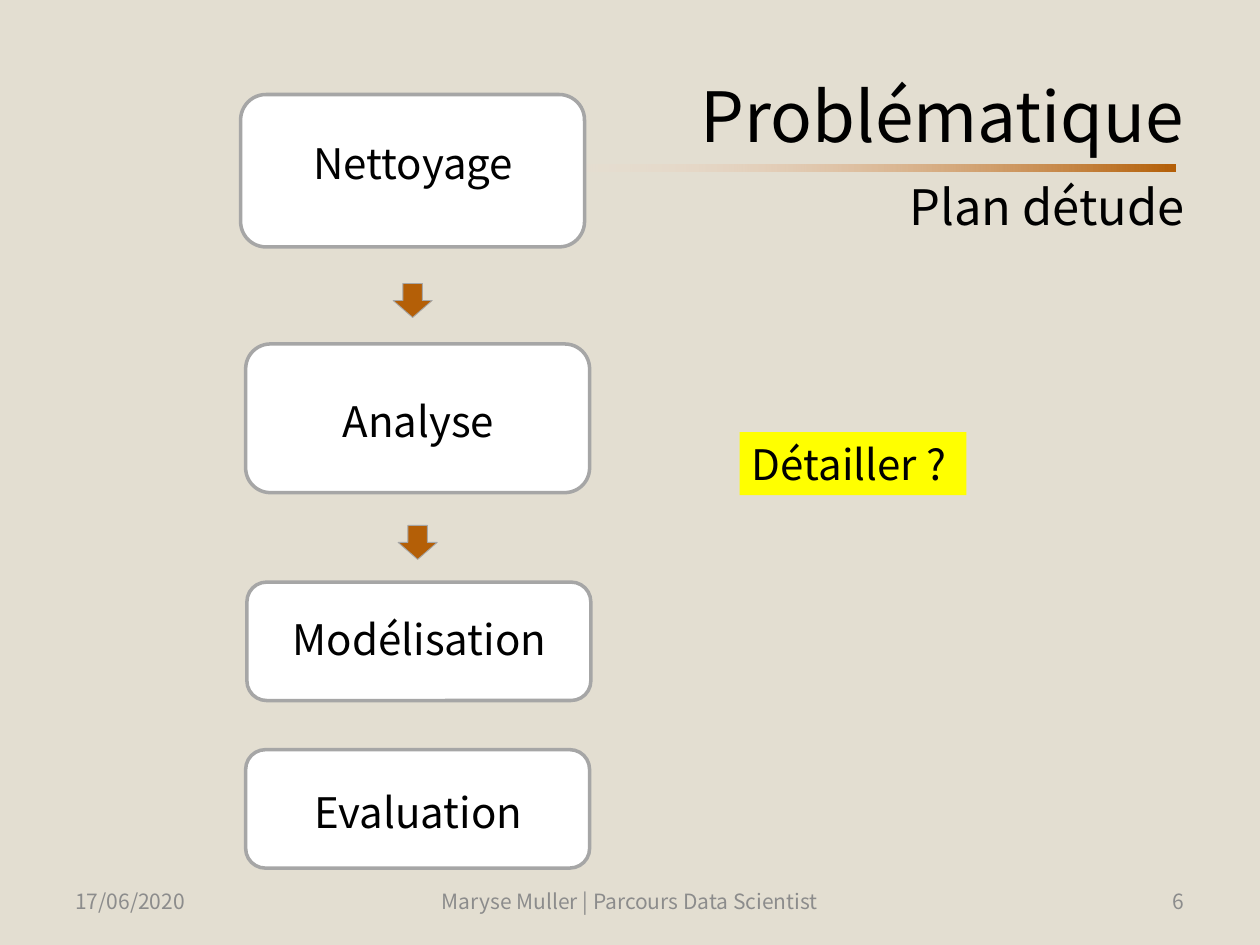
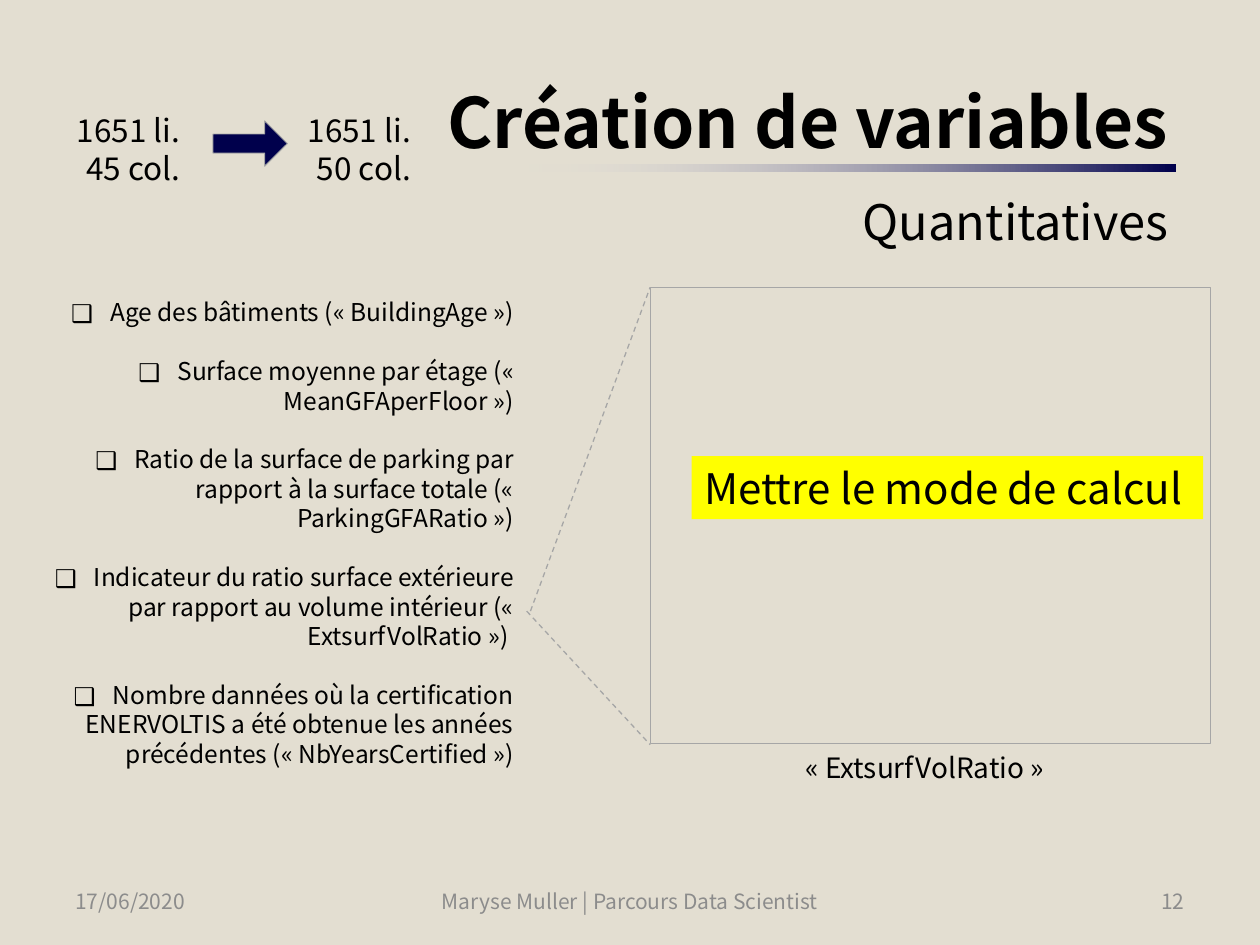
"""Build two study slides: the plan of the study and the created variables."""
import pptx
import pptx.util
import pptx.dml.color
import pptx.enum.dml
import pptx.enum.shapes
import pptx.enum.text
import pptx.oxml.ns
from lxml import etree

FONT = "Noto Sans CJK JP"
LINE_HEIGHT = 1.2
COLORS = {
    "background": "E3DED1", "text": "000000", "footer": "8C8C8C", "box": "FFFFFF",
    "outline": "A6A6A6", "highlight": "FFFF00", "orange": "B45F07",
    "orange_end": "FFE7E0", "navy": "00004C", "navy_end": "E2E2E5",
}
SHAPE = pptx.enum.shapes.MSO_SHAPE
ALIGN = {
    "left": pptx.enum.text.PP_ALIGN.LEFT,
    "center": pptx.enum.text.PP_ALIGN.CENTER,
    "right": pptx.enum.text.PP_ALIGN.RIGHT,
}
MIDDLE = pptx.enum.text.MSO_ANCHOR.MIDDLE
TOP = pptx.enum.text.MSO_ANCHOR.TOP

DATE = "17/06/2020"
AUTHOR = "Maryse Muller | Parcours Data Scientist"
FOOTER_TOP, FOOTER_HEIGHT = 6.95, 0.4

STEPS = [
    ("Nettoyage", (1.91, 0.75, 2.73, 1.21), (2.34, 1.04, 1.88, 0.52)),
    ("Analyse", (1.95, 2.73, 2.73, 1.18), (2.38, 3.09, 1.88, 0.5)),
    ("Modélisation", (1.96, 4.62, 2.73, 0.94), (2.01, 4.82, 2.64, 0.34)),
    ("Evaluation", (1.95, 5.95, 2.73, 0.94), (2, 6.19, 2.64, 0.5)),
]
STEP_ARROWS = [(3.12, 2.25), (3.16, 4.17)]

VARIABLES = [
    "Age des bâtiments (« BuildingAge »)",
    "Surface moyenne par étage (« MeanGFAperFloor »)",
    "Ratio de la surface de parking par rapport à la surface totale (« ParkingGFARatio »)",
    "Indicateur du ratio surface extérieure par rapport au volume intérieur (« ExtsurfVolRatio ») ",
    "Nombre dannées où la certification ENERVOLTIS a été obtenue les années précédentes (« NbYearsCertified »)",
]
TABLE_SIZES = [(0.2, ["1651 li.", "45 col."]), (2.03, ["1651 li.", "50 col."])]
FRAME = (5.16, 2.28, 4.45, 3.62)
CALLOUT_LINES = [((4.21, 4.85), (5.16, 2.28)), ((4.18, 4.85), (5.16, 5.91))]


def rgb(name):
    """Return a palette colour."""
    return pptx.dml.color.RGBColor.from_string(COLORS[name])


def inches(values):
    """Convert a series of inches to lengths."""
    return [pptx.util.Inches(v) for v in values]


def write(tf, text, size=24, color="text", bold=False, align="left", anchor=TOP,
          spacing=1, before=0):
    """Add one formatted paragraph to a text frame and return it."""
    tf.word_wrap = True
    tf.auto_size = pptx.enum.text.MSO_AUTO_SIZE.NONE
    tf.vertical_anchor = anchor
    p = tf.add_paragraph() if tf.text else tf.paragraphs[0]
    p.alignment = ALIGN[align]
    p.line_spacing = pptx.util.Pt(round(size * LINE_HEIGHT * spacing, 1))
    p.space_before = pptx.util.Pt(before)
    r = p.add_run()
    r.text = text
    r.font.name = FONT
    r.font.size = pptx.util.Pt(size)
    r.font.bold = bold
    r.font.color.rgb = rgb(color)
    return p


def add_text(shapes, at, lines, **style):
    """Add a text box holding one paragraph a line."""
    tf = shapes.add_textbox(*inches(at)).text_frame
    for line in lines:
        write(tf, line, **style)


def add_shape(shapes, kind, at, fill=None, line=None, width=0.5):
    """Add a preset shape without shadow."""
    sp = shapes.add_shape(kind, *inches(at))
    sp.shadow.inherit = False
    if fill:
        sp.fill.solid()
        sp.fill.fore_color.rgb = rgb(fill)
    else:
        sp.fill.background()
    if line:
        sp.line.color.rgb = rgb(line)
        sp.line.width = pptx.util.Pt(width)
    else:
        sp.line.fill.background()
    return sp


def add_highlight(s, at, text):
    """Add a highlighted reminder."""
    sp = add_shape(s.shapes, SHAPE.RECTANGLE, at, "highlight")
    write(sp.text_frame, text)


def add_title_bar(s, color):
    """Add the bar under the title, fading out to the left."""
    sp = add_shape(s.shapes, SHAPE.RECTANGLE, (4.18, 1.31, 5.15, 0.05))
    sp.fill.gradient()
    sp.fill.gradient_angle = 180
    for stop, position, name in zip(sp.fill.gradient_stops, (0, 1), (color, color + "_end")):
        stop.position = position
        stop.color.rgb = rgb(name)
    last = sp._element.spPr.findall(".//" + pptx.oxml.ns.qn("a:srgbClr"))[-1]
    etree.SubElement(last, pptx.oxml.ns.qn("a:alpha"), val="0")


def place(sp, at):
    """Move a placeholder."""
    sp.left, sp.top, sp.width, sp.height = inches(at)


def add_slide(prs, layout, number, title_at, title, subtitle, accent,
              bold=False, spacing=1, gap=0):
    """Add a slide with its title, title bar and footer."""
    s = prs.slides.add_slide(prs.slide_layouts.get_by_name(layout))
    place(s.shapes.title, title_at)
    tf = s.shapes.title.text_frame
    style = dict(align="right", anchor=MIDDLE, spacing=spacing)
    write(tf, title, size=39.6, bold=bold, **style)
    write(tf, subtitle, size=27.9, before=gap, **style)
    add_title_bar(s, accent)
    footers = [(0.5, 2.33, DATE, "left"), (3.15, 3.7, AUTHOR, "center"),
               (7.17, 2.33, str(number), "right")]
    for left, width, text, align in footers:
        add_text(s.shapes, (left, FOOTER_TOP, width, FOOTER_HEIGHT), [text],
                 size=12, color="footer", align=align, anchor=MIDDLE)
    return s


def add_bullet(p):
    """Give a paragraph a hanging square bullet."""
    pPr = p._p.get_or_add_pPr()
    indent = pptx.util.Inches(0.31)
    pPr.set("marL", str(indent))
    pPr.set("indent", str(-indent))
    etree.SubElement(pPr, pptx.oxml.ns.qn("a:buFont"), typeface=FONT)
    etree.SubElement(pPr, pptx.oxml.ns.qn("a:buChar"), char="❑")


def add_dashed_line(s, start, end):
    """Add a thin dashed line."""
    c = s.shapes.add_connector(pptx.enum.shapes.MSO_CONNECTOR.STRAIGHT, *inches(start + end))
    c.line.color.rgb = rgb("outline")
    c.line.width = pptx.util.Pt(0.75)
    c.line.dash_style = pptx.enum.dml.MSO_LINE.DASH
    etree.SubElement(c._element.spPr, pptx.oxml.ns.qn("a:effectLst"))


def build_plan(prs):
    """Build the slide with the steps of the study."""
    s = add_slide(prs, "Title Only", 6, (0.5, 0.6, 9, 1.25),
                  "Problématique", "Plan détude", "orange", gap=11.9)
    for name, box_at, text_at in STEPS:
        group = s.shapes.add_group_shape()
        add_shape(group.shapes, SHAPE.ROUNDED_RECTANGLE, box_at, "box", "outline", 2)
        add_text(group.shapes, text_at, [name], align="center")
    for corner in STEP_ARROWS:
        add_shape(s.shapes, SHAPE.DOWN_ARROW, corner + (0.31, 0.27), "orange", "outline")
    add_highlight(s, (5.87, 3.43, 1.8, 0.5), "Détailler ?")


def build_variables(prs):
    """Build the slide with the created variables."""
    s = add_slide(prs, "Title and Content", 12, (0.78, 0.56, 8.59, 1.17),
                  "Création de variables", "Quantitatives", "navy", bold=True, spacing=1.5)
    subtitle = s.shapes.title.text_frame.paragraphs[1]
    subtitle.runs[0].font.bold = False
    body = s.placeholders[1]
    place(body, (0.2, 2.31, 3.98, 3.88))
    for i, variable in enumerate(VARIABLES):
        add_bullet(write(body.text_frame, variable, size=14, align="right",
                         before=16.8 if i else 0))
    add_text(s.shapes, (5.49, 5.91, 3.7, 0.37), ["« ExtsurfVolRatio »"],
             size=16, align="center")
    add_shape(s.shapes, SHAPE.RECTANGLE, FRAME, line="outline")
    for start, end in CALLOUT_LINES:
        add_dashed_line(s, start, end)
    group = s.shapes.add_group_shape()
    for left, lines in TABLE_SIZES:
        add_text(group.shapes, (left, 0.83, 1.33, 0.71), lines, size=18, align="right")
    arrow = add_shape(group.shapes, SHAPE.RIGHT_ARROW, (1.69, 0.96, 0.59, 0.36),
                      "navy", "outline")
    arrow.adjustments[0] = 0.42
    add_highlight(s, (5.49, 3.62, 4.06, 0.5), "Mettre le mode de calcul")


def main():
    """Build and save the presentation."""
    prs = pptx.Presentation()
    prs.slide_width, prs.slide_height = inches((10, 7.5))
    fill = prs.slide_master.background.fill
    fill.solid()
    fill.fore_color.rgb = rgb("background")
    build_plan(prs)
    build_variables(prs)
    prs.save("out.pptx")


if __name__ == "__main__":
    main()
